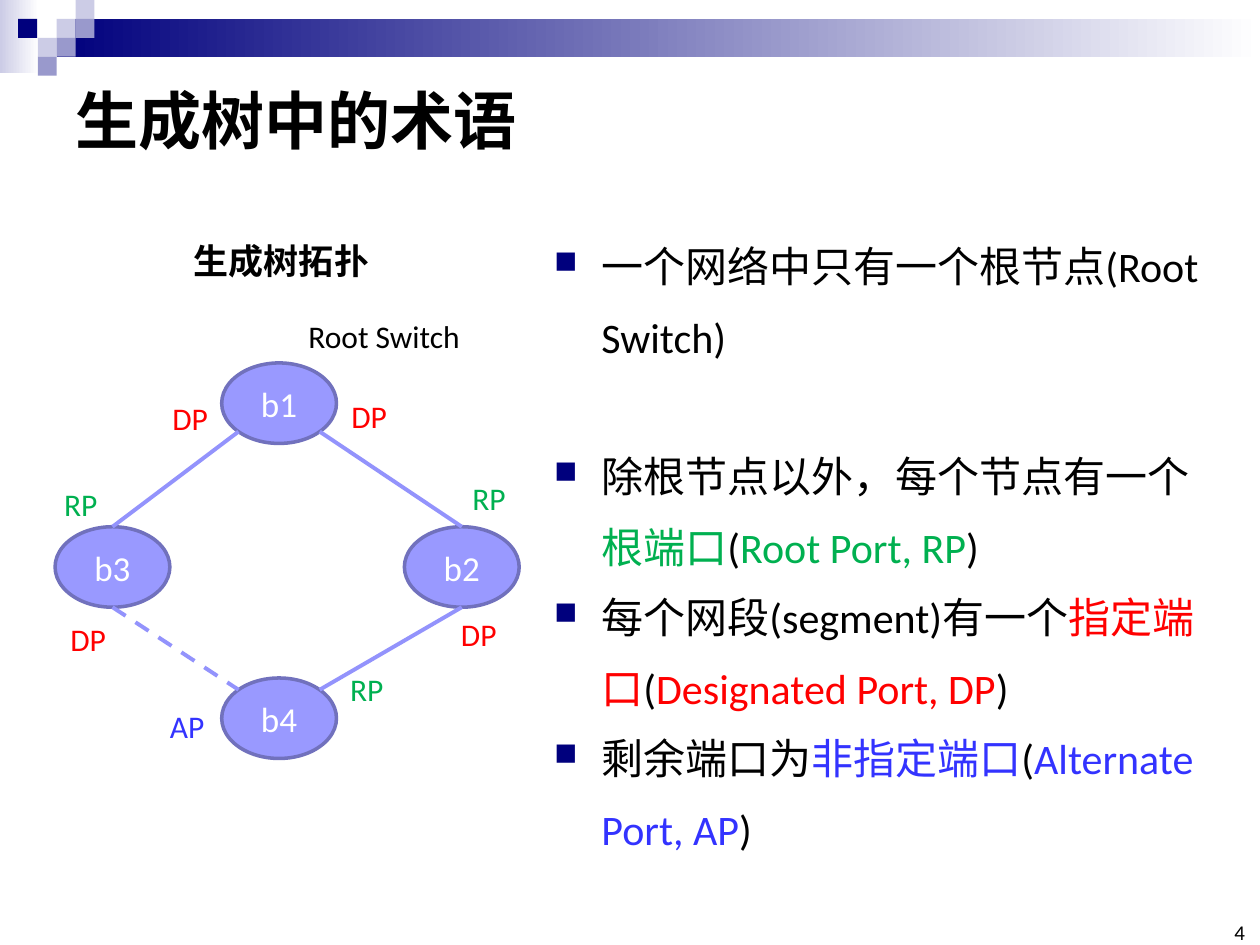
"""Build the slide on spanning tree terms with its topology diagram."""
from math import sqrt
from lxml.etree import SubElement
from pptx import Presentation
from pptx.dml.color import RGBColor
from pptx.enum.dml import MSO_LINE
from pptx.enum.shapes import MSO_CONNECTOR, MSO_SHAPE
from pptx.enum.text import MSO_ANCHOR as Anchor, PP_ALIGN as Align
from pptx.oxml.ns import qn
from pptx.util import Pt

BLACK, WHITE, NAVY = "000000", "FFFFFF", "00007D"
GREEN, RED, BLUE = "00B050", "FF0000", "3333FF"
PALE, MID = "CCCCE6", "9999CC"


def color(value):
    return RGBColor.from_string(value)


def style(span, size, value, bold=False):
    span.font.name = "Calibri"
    span.font.size = Pt(size)
    span.font.bold = bold
    span.font.color.rgb = color(value)


deck = Presentation()
deck.slide_width, deck.slide_height = Pt(720), Pt(540)
page = deck.slides.add_slide(deck.slide_layouts[5])
shapes = page.shapes

bars = [(0, 0, 22.3, 41.8, PALE), (32.4, 10.8, 687.6, 21.6, NAVY)]
for left, top, width, height, start in bars:
    bar = shapes.add_shape(MSO_SHAPE.RECTANGLE, Pt(left), Pt(top), Pt(width), Pt(height))
    bar.shadow.inherit = False
    bar.line.fill.background()
    bar.fill.gradient()
    bar.fill.gradient_angle = 0
    for stop, value in zip(bar.fill.gradient_stops, (start, WHITE)):
        stop.color.rgb = color(value)

tiles = [(32.4, 10.8, PALE), (43.2, 0, PALE), (43.2, 10.8, MID), (21.6, 21.6, PALE),
         (10.4, 10.8, NAVY), (32.4, 21.6, MID), (21.6, 32.4, MID)]
for left, top, value in tiles:
    tile = shapes.add_shape(MSO_SHAPE.RECTANGLE, Pt(left), Pt(top), Pt(10.8), Pt(10.8))
    tile.shadow.inherit = False
    tile.line.fill.background()
    tile.fill.solid()
    tile.fill.fore_color.rgb = color(value)

title = shapes.title
title.left, title.top, title.width, title.height = Pt(36), Pt(36), Pt(648), Pt(64)
title.text_frame.text = "生成树中的术语"
title.text_frame.vertical_anchor = Anchor.MIDDLE
title.text_frame.paragraphs[0].alignment = Align.LEFT
style(title.text_frame.paragraphs[0].runs[0], 36, BLACK, True)

NODE_WIDTH, NODE_HEIGHT = 65.6, 46
centers = {"b1": (159.5, 230.4), "b3": (64.3, 324), "b2": (263.9, 324), "b4": (159.5, 410.4)}
for name, (x, y) in centers.items():
    node = shapes.add_shape(MSO_SHAPE.OVAL, Pt(x - NODE_WIDTH / 2), Pt(y - NODE_HEIGHT / 2),
                            Pt(NODE_WIDTH), Pt(NODE_HEIGHT))
    node.shadow.inherit = False
    node.fill.solid()
    node.fill.fore_color.rgb = color("9999FF")
    node.line.color.rgb = color("7171BD")
    node.line.width = Pt(2)
    node.text_frame.text = name
    node.text_frame.vertical_anchor = Anchor.MIDDLE
    node.text_frame.paragraphs[0].alignment = Align.CENTER
    style(node.text_frame.paragraphs[0].runs[0], 20, WHITE)

diagonal_x, diagonal_y = NODE_WIDTH / 2 / sqrt(2), NODE_HEIGHT / 2 / sqrt(2)
for hub, side, direction, down in [("b1", "b3", -1, 1), ("b1", "b2", 1, 1),
                                   ("b4", "b3", -1, -1), ("b4", "b2", 1, -1)]:
    hub_x, hub_y = centers[hub]
    side_x, side_y = centers[side]
    link = shapes.add_connector(
        MSO_CONNECTOR.STRAIGHT,
        Pt(side_x), Pt(side_y - down * NODE_HEIGHT / 2),
        Pt(hub_x + direction * diagonal_x), Pt(hub_y + down * diagonal_y))
    link.line.color.rgb = color("9393FC")
    link.line.width = Pt(2.25)
    if (hub, side) == ("b4", "b3"):
        link.line.dash_style = MSO_LINE.DASH
    SubElement(link._element.spPr, qn("a:effectLst"))

labels = [("生成树拓扑", 103.7, 133.2, 116, 20, BLACK), ("Root Switch", 169.2, 177.8, 102, 18, BLACK),
          ("RP", 29.5, 273.6, 34, 18, GREEN), ("RP", 262.8, 270, 34, 18, GREEN),
          ("RP", 193, 379.4, 34, 18, GREEN), ("DP", 91.4, 224.6, 35, 18, RED),
          ("DP", 193.7, 223.2, 35, 18, RED), ("DP", 33.1, 350.6, 35, 18, RED),
          ("DP", 256.3, 347.8, 35, 18, RED), ("AP", 90, 400.3, 35, 18, BLUE)]
for text, left, top, width, size, value in labels:
    box = shapes.add_textbox(Pt(left), Pt(top), Pt(width), Pt(size * 1.6))
    box.text_frame.word_wrap = False
    box.text_frame.text = text
    style(box.text_frame.paragraphs[0].runs[0], size, value, bold=size == 20)

terms = [
    [("一个网络中只有一个根节点(Root Switch)", BLACK)],
    [("除根节点以外，每个节点有一个", BLACK), ("根端口", GREEN), ("(", BLACK),
     ("Root Port, RP", GREEN), (")", BLACK)],
    [("每个网段(segment)有一个", BLACK), ("指定端口", RED), ("(", BLACK),
     ("Designated Port, DP", RED), (")", BLACK)],
    [("剩余端口为", BLACK), ("非指定端口", BLUE), ("(", BLACK),
     ("Alternate Port, AP", BLUE), (")", BLACK)],
]
body = shapes.add_textbox(Pt(309.6), Pt(122.4), Pt(398.2), Pt(396.7))
frame = body.text_frame
frame.word_wrap = True
for index, term in enumerate(terms):
    para = frame.paragraphs[0] if index == 0 else frame.add_paragraph()
    props = para._p.get_or_add_pPr()
    props.set("marL", str(Pt(27)))
    props.set("indent", str(Pt(-27)))
    SubElement(SubElement(props, qn("a:buClr")), qn("a:srgbClr"), val=NAVY)
    SubElement(props, qn("a:buSzPct"), val="75000")
    SubElement(props, qn("a:buChar"), char="■")
    para.line_spacing = 1.4
    if index == 1:
        para.space_before = Pt(39.5)
    for text, value in term:
        span = para.add_run()
        span.text = text
        style(span, 24, value)

number = shapes.add_textbox(Pt(694.8), Pt(527.8), Pt(16.6), Pt(12.2))
frame = number.text_frame
frame.margin_left = frame.margin_right = frame.margin_top = frame.margin_bottom = 0
frame.vertical_anchor = Anchor.BOTTOM
frame.text = "4"
frame.paragraphs[0].alignment = Align.RIGHT
style(frame.paragraphs[0].runs[0], 12, BLACK)

deck.save("out.pptx")
